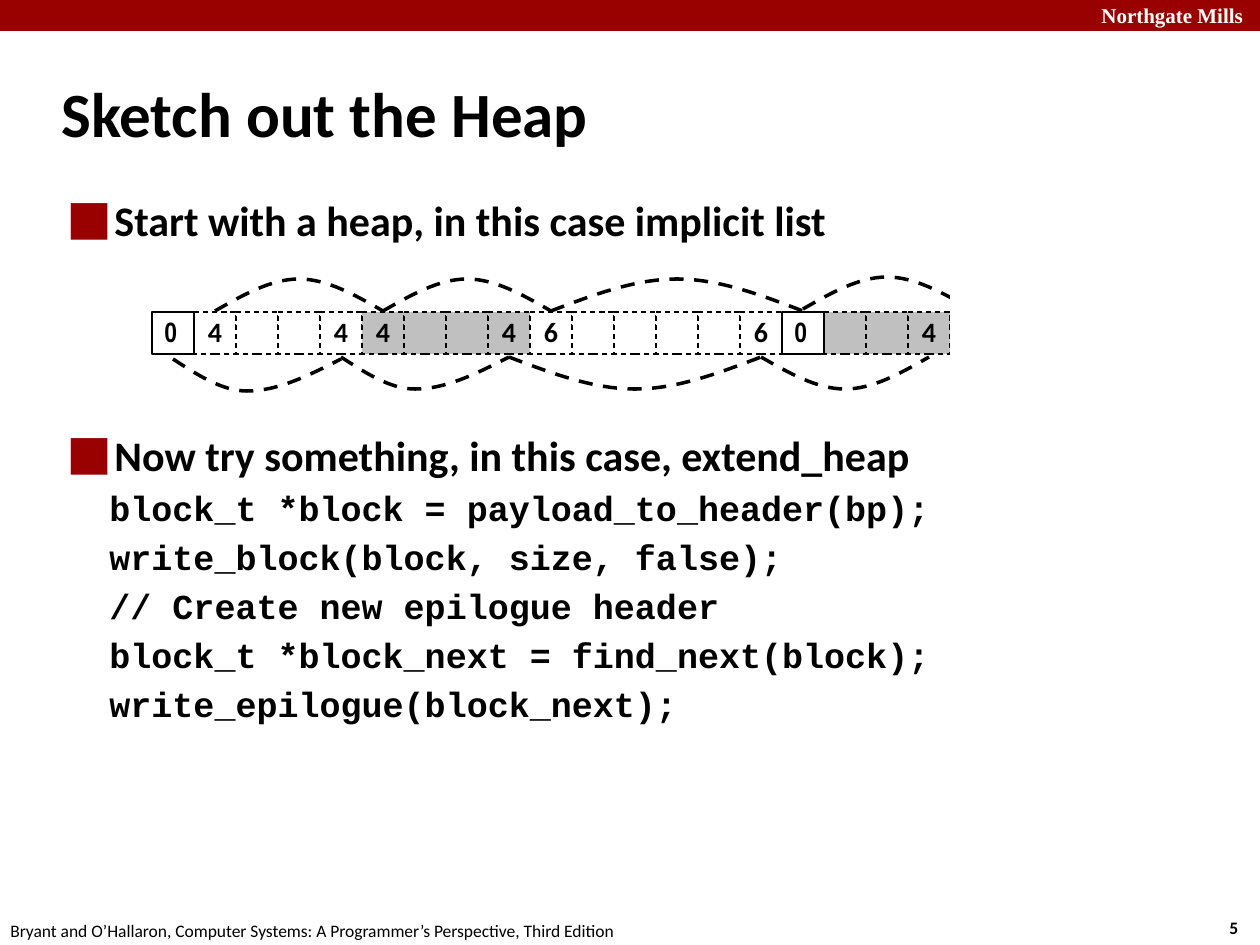
from lxml import etree
from pptx import Presentation
from pptx.dml.color import RGBColor
from pptx.enum.dml import MSO_LINE
from pptx.enum.shapes import MSO_SHAPE
from pptx.enum.text import MSO_ANCHOR, PP_ALIGN
from pptx.oxml.ns import qn
from pptx.util import Pt

EMU_PER_PX = 914400 / 126
RECTANGLE = MSO_SHAPE.RECTANGLE
DASH = MSO_LINE.DASH
MIDDLE, TOP = MSO_ANCHOR.MIDDLE, MSO_ANCHOR.TOP
LEFT, CENTER = PP_ALIGN.LEFT, PP_ALIGN.CENTER
COLORS = {"red": "990000", "white": "FFFFFF", "black": "000000", "gray": "C0C0C0"}

CELL = 42
HEAP_LEFT, HEAP_TOP = 152, 312
ARC_HEIGHT = 32
LABELS = {1: "4", 4: "4", 5: "4", 8: "4", 9: "6", 14: "6", 18: "4"}
GRAY_CELLS = {5, 6, 7, 8, 16, 17, 18}
BOUNDARY_CELLS = (0, 15)
CELL_COUNT = 19
HEADER_ARCS = [(1, 5, 311), (5, 9, 311), (9, 15, 311), (15, 19, 309)]
FOOTER_ARCS = [(0, 4, 359, 0.44), (4, 8, 357, 0.44), (8, 14, 357, 0.5), (14, 18, 357, 0.5)]
CODE = [
    "block_t *block = payload_to_header(bp);",
    "write_block(block, size, false);",
    "// Create new epilogue header",
    "block_t *block_next = find_next(block);",
    "write_epilogue(block_next);",
]


def px(length):
    """Turn pixels into EMU."""
    return int(round(length * EMU_PER_PX))


def color(name):
    """Look up a named colour."""
    return RGBColor.from_string(COLORS[name])


def write(paragraph, text, size=16, font="Calibri", bold=True, ink="black",
          align=LEFT, before=0, margin=0, bullet=None):
    """Put formatted text into a paragraph."""
    run = paragraph.add_run()
    run.text = text
    run.font.size, run.font.name, run.font.bold = Pt(size), font, bold
    run.font.color.rgb = color(ink)
    paragraph.alignment = align
    paragraph.space_before = Pt(before)
    properties = paragraph._p.get_or_add_pPr()
    properties.set("marL", str(px(margin)))
    properties.set("indent", str(px(-margin if bullet else 0)))
    if bullet:
        bullet_color = etree.SubElement(properties, qn("a:buClr"))
        etree.SubElement(bullet_color, qn("a:srgbClr"), val=COLORS["red"])
        etree.SubElement(properties, qn("a:buSzPct"), val="180000")
        etree.SubElement(properties, qn("a:buFont"), typeface="Times New Roman")
        etree.SubElement(properties, qn("a:buChar"), char=bullet)


def add_text_box(slide, left, top, width, height, anchor=TOP):
    """Add a wrapping text box and return its text frame."""
    frame = slide.shapes.add_textbox(px(left), px(top), px(width), px(height)).text_frame
    frame.word_wrap = True
    frame.vertical_anchor = anchor
    return frame


def add_rectangle(slide, left, top, width, height, fill):
    """Add a plain rectangle without an outline."""
    shape = slide.shapes.add_shape(RECTANGLE, px(left), px(top), px(width), px(height))
    shape.shadow.inherit = False
    shape.fill.solid()
    shape.fill.fore_color.rgb = color(fill)
    shape.line.fill.background()
    return shape


def add_cell(slide, index, label=None, fill="white", dash=DASH, **text_format):
    """Add one word of the heap."""
    shape = add_rectangle(slide, HEAP_LEFT + index * CELL, HEAP_TOP, CELL, CELL, fill)
    shape.line.color.rgb = color("black")
    shape.line.width = Pt(0.75)
    shape.line.dash_style = dash
    if label:
        shape.text_frame.vertical_anchor = MIDDLE
        paragraph = shape.text_frame.paragraphs[0]
        paragraph.line_spacing = 0.98
        write(paragraph, label, **text_format)


def add_arc(slide, start, end, base, height, peak=0.5):
    """Add a dashed curve between the middles of two cells."""
    left = HEAP_LEFT + (start + 0.5) * CELL
    width = (end - start) * CELL
    fractions = [0, peak / 3, peak * 2 / 3, peak, (1 + 2 * peak) / 3, (2 + peak) / 3, 1]
    rises = [0, 0.5, 1, 1, 1, 0.5, 0]
    points = [(px(left + width * fraction), px(base + height * rise))
              for fraction, rise in zip(fractions, rises)]
    builder = slide.shapes.build_freeform(*points[0])
    builder.add_line_segments(points[1:], close=False)
    shape = builder.convert_to_shape()
    segments = list(shape._element.iter(qn("a:lnTo")))
    outline = segments[0].getparent()
    for first in (0, 3):
        curve = etree.SubElement(outline, qn("a:cubicBezTo"))
        for segment in segments[first:first + 3]:
            curve.append(segment[0])
            outline.remove(segment)
    shape.shadow.inherit = False
    shape.fill.background()
    shape.line.color.rgb = color("black")
    shape.line.width = Pt(2)
    shape.line.dash_style = DASH


def add_heap(slide):
    """Draw the heap words and the arcs that link the blocks."""
    for index in range(CELL_COUNT):
        if index not in BOUNDARY_CELLS:
            fill = "gray" if index in GRAY_CELLS else "white"
            add_cell(slide, index, LABELS.get(index), fill, align=CENTER)
    for index in BOUNDARY_CELLS:
        add_cell(slide, index, "0", dash=None, font="Arial Narrow")
    for start, end, base in HEADER_ARCS:
        add_arc(slide, start, end, base, -ARC_HEIGHT)
    for start, end, base, peak in FOOTER_ARCS:
        add_arc(slide, start, end, base, ARC_HEIGHT, peak)
    add_rectangle(slide, HEAP_LEFT + CELL_COUNT * CELL, 257, 121, 154, "white")


def add_body(slide):
    """Write the two bullets and the code lines."""
    frame = add_text_box(slide, 54, 188, 1089, 685)
    write(frame.paragraphs[0], "Start with a heap, in this case implicit list",
          size=24, margin=48, bullet="■")
    write(frame.add_paragraph(), "Now try something, in this case, extend_heap",
          size=24, margin=48, bullet="■", before=105.5)
    for line in CODE:
        write(frame.add_paragraph(), line, size=20, font="Courier New", margin=43, before=4)


def main():
    """Build the slide and save it."""
    presentation = Presentation()
    presentation.slide_width, presentation.slide_height = px(1260), px(945)
    slide = presentation.slides.add_slide(presentation.slide_layouts[6])
    add_rectangle(slide, 0, 0, 1260, 31, "red")
    write(add_text_box(slide, 1089, -4, 180, 38).paragraphs[0], "Northgate Mills",
          size=12, font="Times New Roman", ink="white")
    write(add_text_box(slide, 1217, 911, 47, 34).paragraphs[0], "5", size=10)
    write(add_text_box(slide, -2, 914, 640, 34).paragraphs[0],
          "Bryant and O’Hallaron, Computer Systems: A Programmer’s Perspective, Third Edition",
          size=10, bold=False)
    write(add_text_box(slide, 49, 60, 1046, 105, MIDDLE).paragraphs[0],
          "Sketch out the Heap", size=36)
    add_body(slide)
    add_heap(slide)
    presentation.save("out.pptx")


if __name__ == "__main__":
    main()
